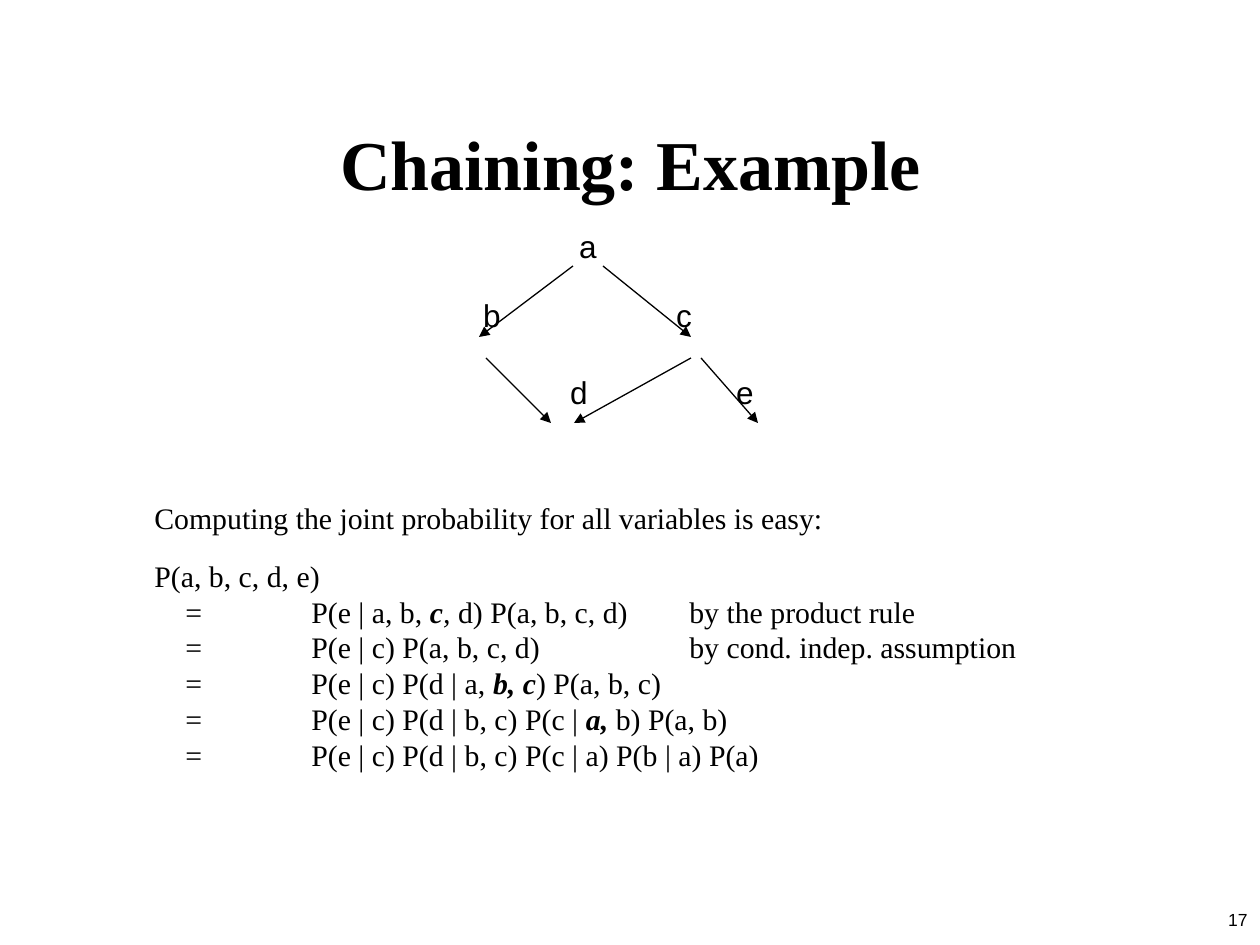
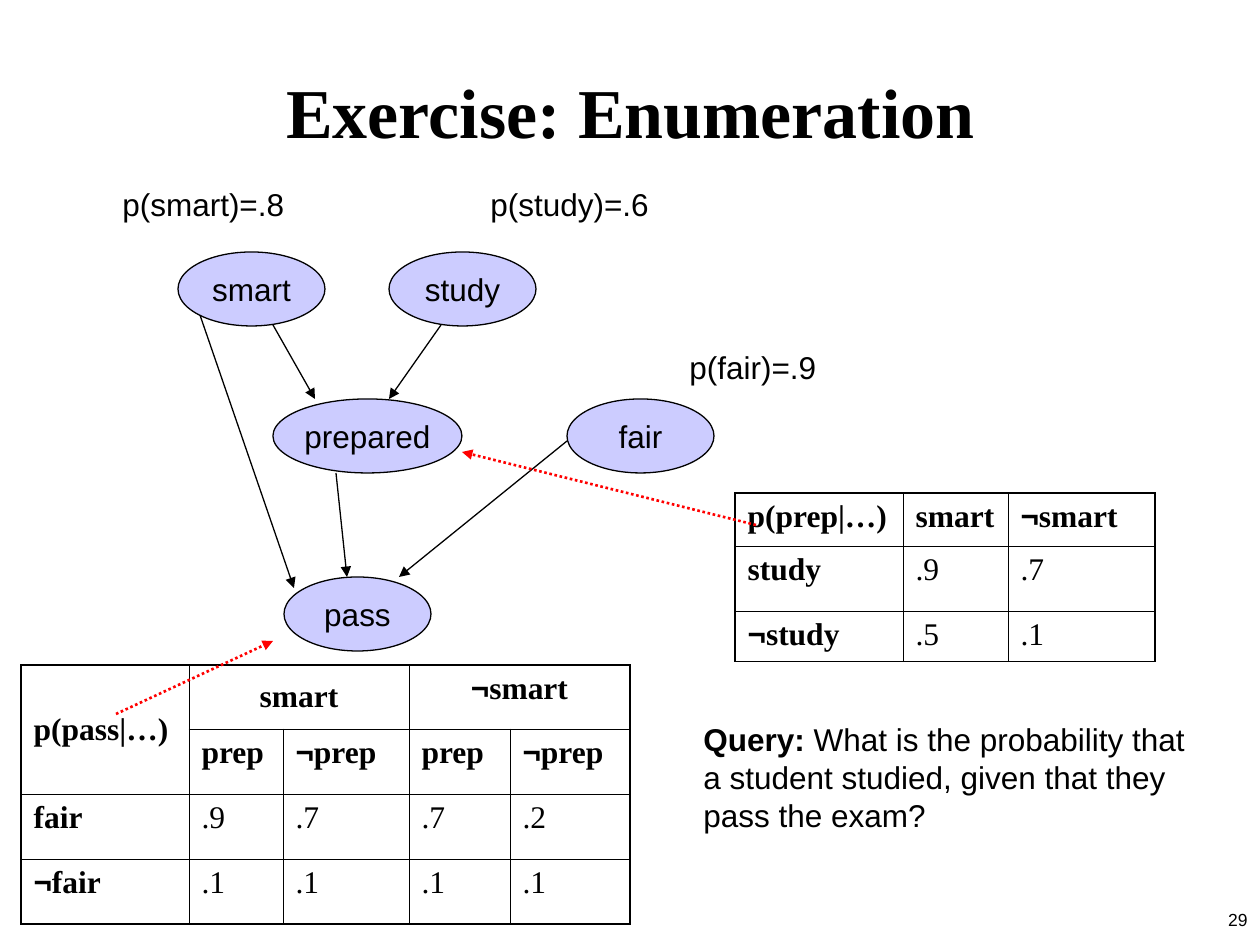
from dataclasses import dataclass

import lxml.etree
import pptx
import pptx.dml.color
import pptx.enum.dml
import pptx.enum.shapes
import pptx.enum.text
import pptx.oxml.ns
import pptx.util

ALIGN = pptx.enum.text.PP_ALIGN
ANCHOR = pptx.enum.text.MSO_ANCHOR
DASH = pptx.enum.dml.MSO_LINE
EMU_PER_PX = 914400 / 126


@dataclass(frozen=True)
class Theme:
    ink: str = "000000"
    oval_fill: str = "CCCCFF"
    pointer: str = "FF0000"
    serif: str = "Times New Roman"
    sans: str = "Arial"
    title_size: int = 40
    body_size: int = 17
    label_size: int = 18
    number_size: int = 10
    line_width: float = 0.75
    pointer_width: float = 1.5
    outer_border: float = 1.08
    inner_border: float = 0.45


THEME = Theme()
SLIDE_SIZE = (1260, 945)
NUMBER_BOX = (998, 903, 262, 42)

# Runs are (text, flags): b bold, i italic, s sans-serif.
CHAINING = {
    "title": "Chaining: Example",
    "title_box": (95, 84, 1071, 158),
    "number": "17",
    "node_centres": {"a": (588, 246), "b": (492, 315), "c": (684, 315),
                     "d": (579, 392), "e": (745, 392)},
    "arrows": [((573, 266), (479, 337)), ((603, 266), (691, 337)),
               ((486, 358), (551, 423)), ((691, 358), (574, 423)),
               ((701, 358), (758, 423))],
    "derivation_box": (95, 494, 1071, 346),
    "derivation": [
        [("Computing the joint probability for all variables is easy:", "")],
        [("P(a, b, c, d, e)", "")],
        [("\t=\tP(e | a, b, ", ""), ("c", "bi"), (",", "i"),
         (" d) P(a, b, c, d)\tby the product rule", "")],
        [("\t=\tP(e | c) P(a, b, c, d)\t\tby cond. indep. assumption", "")],
        [("\t=\tP(e | c) P(d | a, ", ""), ("b, c", "bi"), (") P(a, b, c)", "")],
        [("\t=\tP(e | c) P(d | b, c) P(c | ", ""), ("a, ", "bi"), ("b) P(a, b)", "")],
        [("\t=\tP(e | c) P(d | b, c) P(c | a) P(b | a) P(a)", "")],
    ],
}

ENUMERATION = {
    "title": "Exercise: Enumeration",
    "title_box": (95, 32, 1071, 158),
    "number": "29",
    "ovals": {"smart": (178, 252, 147, 74), "study": (389, 252, 147, 74),
              "prepared": (273, 399, 189, 74), "fair": (567, 399, 147, 74),
              "pass": (284, 577, 147, 74)},
    "arrows": [((273, 325), (315, 399)), ((441, 325), (389, 399)),
               ((567, 441), (399, 577)), ((336, 473), (347, 577)),
               ((200, 315), (294, 588))],
    "priors": {"p(smart)=.8": (110, 179, 200, 50),
               "p(study)=.6": (478, 179, 200, 50),
               "p(fair)=.9": (677, 342, 200, 50)},
    "tables": [
        {"origin": (735, 493), "columns": [168, 105, 147], "rows": [53, 65, 50],
         "cells": [["p(prep|…)", "smart", "¬smart"],
                   ["study", ".9", ".7"],
                   ["¬study", ".5", ".1"]],
         "merges": [], "middle": []},
        {"origin": (21, 665), "columns": [168, 94, 126, 101, 120],
         "rows": [64, 65, 65, 65],
         "cells": [["p(pass|…)", "smart", "", "¬smart", ""],
                   ["", "prep", "¬prep", "prep", "¬prep"],
                   ["fair", ".9", ".7", ".7", ".2"],
                   ["¬fair", ".1", ".1", ".1", ".1"]],
         "merges": [((0, 0), (1, 0)), ((0, 1), (0, 2)), ((0, 3), (0, 4))],
         "middle": [(0, 0), (0, 1)]},
    ],
    "pointers": [((756, 525), (462, 452)), ((116, 714), (273, 641))],
    "query_box": (691, 714, 517, 126),
    "query": [("Query:", "b"),
              (" What is the probability that a student studied, "
               "given that they pass the exam?", "")],
}


def px(*lengths):
    return [pptx.util.Emu(round(length * EMU_PER_PX)) for length in lengths]


def rgb(colour):
    return pptx.dml.color.RGBColor.from_string(colour)


def add_element(parent, tag, **attributes):
    return lxml.etree.SubElement(parent, pptx.oxml.ns.qn(tag), attributes)


def write_runs(paragraph, runs, font, size, align=ALIGN.LEFT):
    paragraph.alignment = align
    for text, flags in runs:
        run = paragraph.add_run()
        run.text = text
        run.font.name = THEME.sans if "s" in flags else font
        run.font.size = pptx.util.Pt(size)
        run.font.bold = "b" in flags
        run.font.italic = "i" in flags
        run.font.color.rgb = rgb(THEME.ink)


def add_text(slide, box, runs, size=THEME.label_size, font=THEME.sans,
             align=ALIGN.LEFT, anchor=ANCHOR.TOP):
    frame = slide.shapes.add_textbox(*px(*box)).text_frame
    frame.word_wrap = True
    frame.vertical_anchor = anchor
    write_runs(frame.paragraphs[0], runs, font, size, align)


def add_arrow(slide, start, end, colour=THEME.ink, width=THEME.line_width, dash=None):
    connector = slide.shapes.add_connector(
        pptx.enum.shapes.MSO_CONNECTOR.STRAIGHT, *px(*start, *end))
    connector.line.color.rgb = rgb(colour)
    connector.line.width = pptx.util.Pt(width)
    if dash:
        connector.line.dash_style = dash
    add_element(connector.line._get_or_add_ln(), "a:tailEnd", type="triangle")
    add_element(connector._element.spPr, "a:effectLst")


def add_oval(slide, label, box):
    oval = slide.shapes.add_shape(pptx.enum.shapes.MSO_SHAPE.OVAL, *px(*box))
    oval.shadow.inherit = False
    oval.fill.solid()
    oval.fill.fore_color.rgb = rgb(THEME.oval_fill)
    oval.line.color.rgb = rgb(THEME.ink)
    oval.line.width = pptx.util.Pt(THEME.line_width)
    oval.text_frame.word_wrap = False
    oval.text_frame.vertical_anchor = ANCHOR.MIDDLE
    write_runs(oval.text_frame.paragraphs[0], [(label, "")],
               THEME.sans, THEME.label_size, ALIGN.CENTER)


def add_borders(cell, outer_sides):
    """Draw all four cell borders, heavier on the sides that edge the table."""
    properties = cell._tc.get_or_add_tcPr()
    for side in "LRTB":
        width = THEME.outer_border if side in outer_sides else THEME.inner_border
        line = add_element(properties, f"a:ln{side}", w=str(pptx.util.Pt(width)))
        add_element(add_element(line, "a:solidFill"), "a:srgbClr", val=THEME.ink)


def cell_runs(text):
    """Embolden headings, and set a leading negation sign in sans-serif."""
    if text.startswith("¬"):
        return [("¬", "bs"), (text[1:], "b")]
    return [(text, "" if text.startswith(".") else "b")]


def add_probability_table(slide, content):
    widths, heights = content["columns"], content["rows"]
    table = slide.shapes.add_table(
        len(heights), len(widths),
        *px(*content["origin"], sum(widths), sum(heights))).table
    table.first_row = table.horz_banding = False
    for column, width in zip(table.columns, px(*widths)):
        column.width = width
    for row, height in zip(table.rows, px(*heights)):
        row.height = height
    for first, last in content["merges"]:
        table.cell(*first).merge(table.cell(*last))

    for row, texts in enumerate(content["cells"]):
        for column, text in enumerate(texts):
            cell = table.cell(row, column)
            if not cell.is_spanned:
                edges = {"L": column == 0, "T": row == 0,
                         "R": column + cell.span_width == len(widths),
                         "B": row + cell.span_height == len(heights)}
                add_borders(cell, [side for side, outer in edges.items() if outer])
                if (row, column) in content["middle"]:
                    cell.vertical_anchor = ANCHOR.MIDDLE
                align = ALIGN.CENTER if cell.span_width > 1 else ALIGN.LEFT
                write_runs(cell.text_frame.paragraphs[0], cell_runs(text),
                           THEME.serif, THEME.label_size, align)
            cell.fill.background()


def add_derivation(slide, box, lines):
    frame = slide.shapes.add_textbox(*px(*box)).text_frame
    frame.word_wrap = True
    margin, hanging, tab_size = px(78, -31, 126)
    for index, runs in enumerate(lines):
        paragraph = frame.add_paragraph() if index else frame.paragraphs[0]
        properties = paragraph._p.get_or_add_pPr()
        properties.set("marL", str(margin))
        properties.set("indent", str(hanging))
        properties.set("defTabSz", str(tab_size))
        paragraph.space_before = pptx.util.Pt(12.5 if index == 1 else 0)
        add_element(properties, "a:buNone")
        write_runs(paragraph, runs, THEME.serif, THEME.body_size)


def add_titled_slide(presentation, content):
    slide = presentation.slides.add_slide(presentation.slide_layouts[6])
    add_text(slide, NUMBER_BOX, [(content["number"], "")], THEME.number_size,
             align=ALIGN.RIGHT)
    add_text(slide, content["title_box"], [(content["title"], "b")], THEME.title_size,
             THEME.serif, ALIGN.CENTER, ANCHOR.MIDDLE)
    return slide


def build_chaining(presentation):
    slide = add_titled_slide(presentation, CHAINING)
    add_derivation(slide, CHAINING["derivation_box"], CHAINING["derivation"])
    for name, (x, y) in CHAINING["node_centres"].items():
        add_text(slide, (x - 25, y - 25, 50, 50), [(name, "")],
                 align=ALIGN.CENTER, anchor=ANCHOR.MIDDLE)
    for start, end in CHAINING["arrows"]:
        add_arrow(slide, start, end)


def build_enumeration(presentation):
    slide = add_titled_slide(presentation, ENUMERATION)
    for label, box in ENUMERATION["ovals"].items():
        add_oval(slide, label, box)
    for start, end in ENUMERATION["arrows"]:
        add_arrow(slide, start, end)
    for prior, box in ENUMERATION["priors"].items():
        add_text(slide, box, [(prior, "")])
    for table in ENUMERATION["tables"]:
        add_probability_table(slide, table)
    for start, end in ENUMERATION["pointers"]:
        add_arrow(slide, start, end, THEME.pointer, THEME.pointer_width, DASH.ROUND_DOT)
    add_text(slide, ENUMERATION["query_box"], ENUMERATION["query"])


def main():
    presentation = pptx.Presentation()
    presentation.slide_width, presentation.slide_height = px(*SLIDE_SIZE)
    build_chaining(presentation)
    build_enumeration(presentation)
    presentation.save("out.pptx")


if __name__ == "__main__":
    main()
